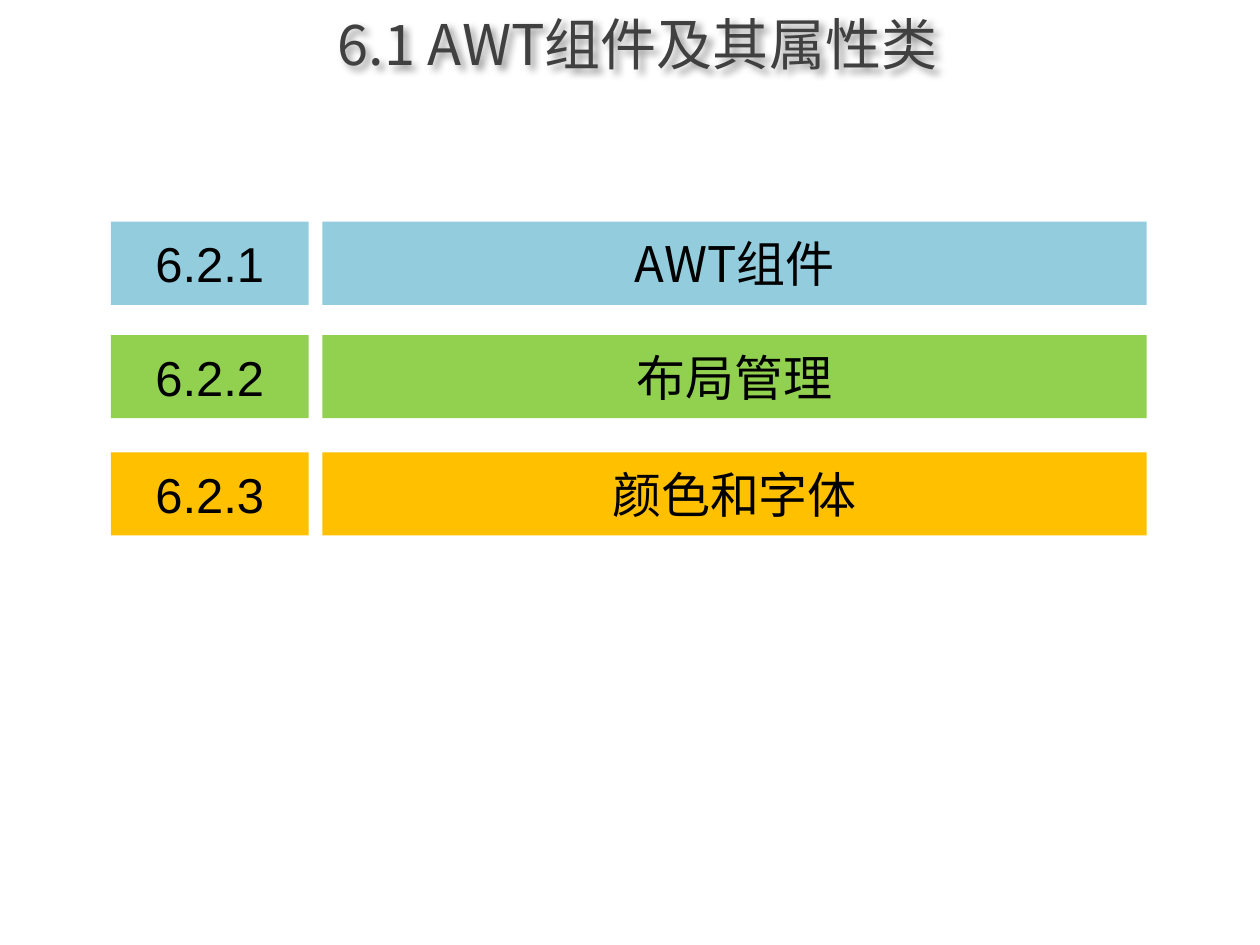
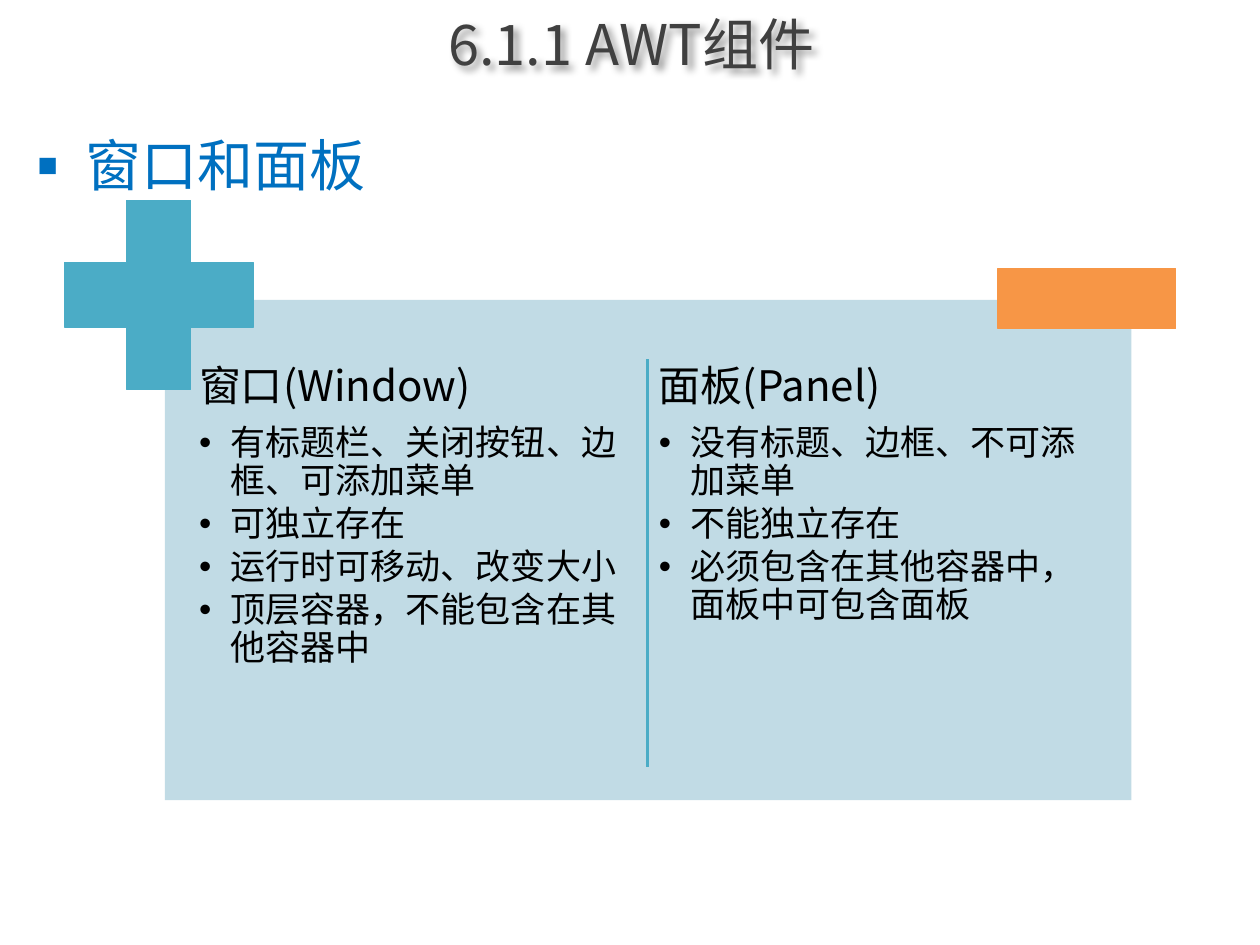
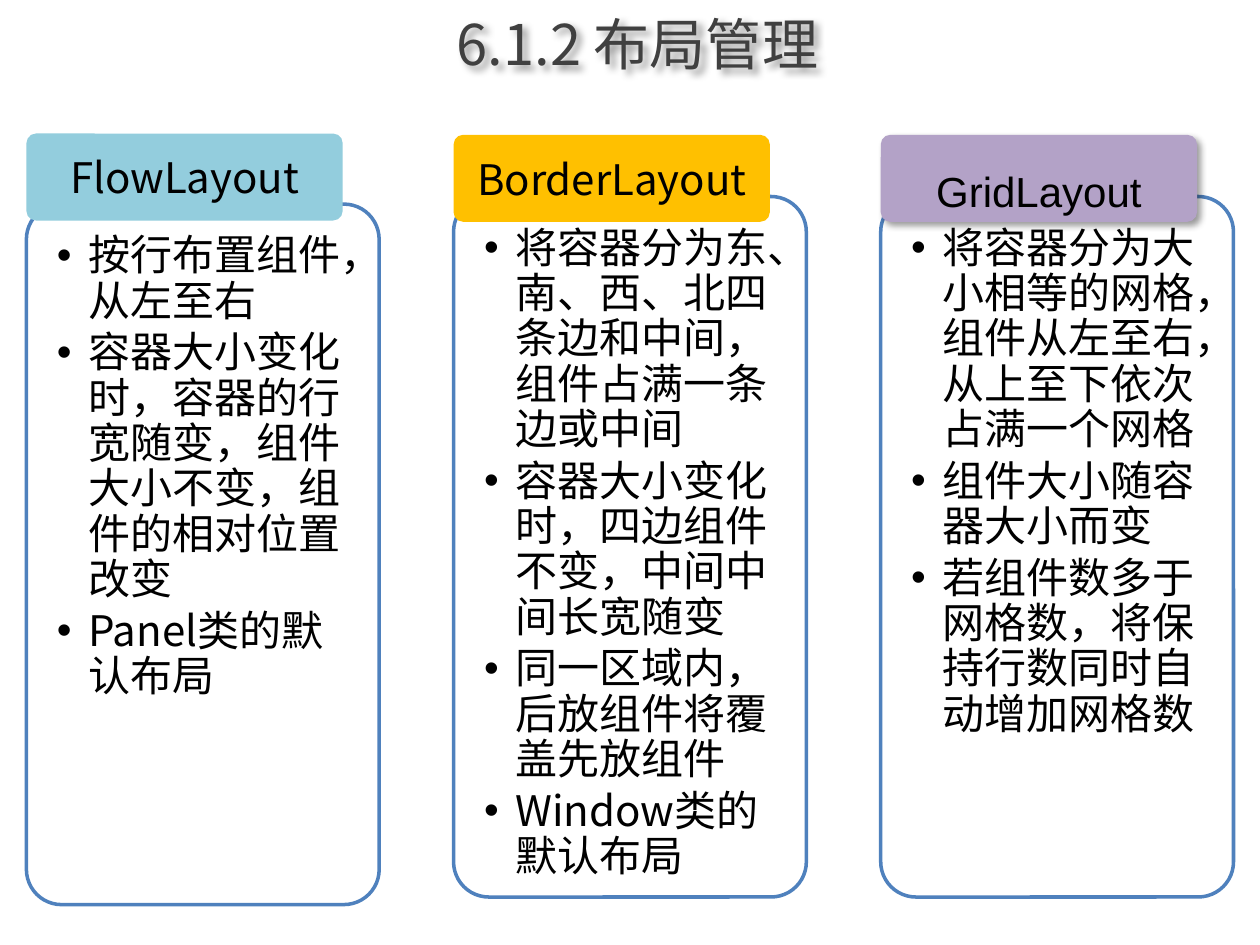
from pptx import Presentation
from pptx.dml.color import RGBColor
from pptx.enum.shapes import MSO_CONNECTOR, MSO_SHAPE as SHAPE
from pptx.enum.text import MSO_ANCHOR as ANCHOR, MSO_AUTO_SIZE, PP_ALIGN as ALIGN
from pptx.oxml.ns import qn
from pptx.util import Inches, Pt
from lxml.etree import SubElement

CJK, ARIAL, CABIN = "Noto Sans CJK SC", "Arial", "Cabin"
BLACK, WHITE, GRAY = "000000", "FFFFFF", "404040"
SKY, GREEN, AMBER, LILAC = "93CDDD", "92D050", "FFC000", "B3A2C7"
TEAL, ORANGE, PALE, BLUE, HEADING = "4BACC6", "F79646", "C1DBE5", "4F81BD", "0070C0"


def rgb(value):
    return RGBColor.from_string(value)


def lengths(*values):
    return [Inches(v) for v in values]


# ---- Shared parts ----
def add_shadow(sp):
    """Soft drop shadow to the lower right."""
    sp_pr = sp._element.spPr
    for old in sp_pr.findall(qn("a:effectLst")):
        sp_pr.remove(old)
    effects = SubElement(sp_pr, qn("a:effectLst"))
    shadow = SubElement(effects, qn("a:outerShdw"), blurRad=str(Pt(4)),
                        dist=str(Pt(3)), dir="2700000", algn="tl", rotWithShape="0")
    color = SubElement(shadow, qn("a:srgbClr"), val=BLACK)
    SubElement(color, qn("a:alpha"), val="40000")


def add_box(s, box, fill, line=None, width=0.75, kind=SHAPE.RECTANGLE, adj=None):
    sp = s.shapes.add_shape(kind, *lengths(*box))
    sp.shadow.inherit = False
    sp.fill.solid()
    sp.fill.fore_color.rgb = rgb(fill)
    if line:
        sp.line.color.rgb = rgb(line)
        sp.line.width = Pt(width)
    else:
        sp.line.fill.background()
    if adj is not None:
        sp.adjustments[0] = adj
    return sp


def setup_frame(sp, anchor=ANCHOR.TOP, inset=None, wrap=True):
    tf = sp.text_frame
    tf.word_wrap = wrap
    tf.auto_size = MSO_AUTO_SIZE.NONE
    tf.vertical_anchor = anchor
    if inset is not None:
        tf.margin_left = tf.margin_right = Inches(inset)
        tf.margin_top = tf.margin_bottom = Inches(inset)
    return tf


def add_text_box(s, box, **frame):
    sp = s.shapes.add_textbox(*lengths(*box))
    return sp, setup_frame(sp, **frame)


def add_para(tf, text, size, font=CJK, color=BLACK, align=ALIGN.LEFT):
    p = tf.paragraphs[0]
    if p.runs:
        p = tf.add_paragraph()
    p.alignment = align
    r = p.add_run()
    r.text = text
    r.font.size = Pt(size)
    r.font.name = font
    r.font.color.rgb = rgb(color)
    SubElement(r._r.get_or_add_rPr(), qn("a:ea"), typeface=CJK)
    return p


def add_bullet(p, char, indent, percent=100):
    p_pr = p._p.get_or_add_pPr()
    p_pr.set("marL", str(Inches(indent)))
    p_pr.set("indent", str(-Inches(indent)))
    SubElement(p_pr, qn("a:buSzPct"), val=str(percent * 1000))
    SubElement(p_pr, qn("a:buFont"), typeface=ARIAL)
    SubElement(p_pr, qn("a:buChar"), char=char)


def add_bullets(tf, items, size):
    for item in items:
        p = add_para(tf, item, size)
        p.line_spacing = 0.9
        p.space_after = Pt(0.15 * size)
        add_bullet(p, "•", 0.25)


def add_label(sp, text, size, font=CJK, **frame):
    tf = setup_frame(sp, ANCHOR.MIDDLE, **frame)
    return add_para(tf, text, size, font, align=ALIGN.CENTER)


def new_slide(prs, title):
    s = prs.slides.add_slide(prs.slide_layouts[6])
    sp, tf = add_text_box(s, (0.72, 0, 8.68, 0.68), anchor=ANCHOR.MIDDLE)
    add_para(tf, title, 32, color=GRAY, align=ALIGN.CENTER)
    add_shadow(sp)
    return s


# ---- Contents slide: number and topic side by side ----
def add_topic_row(s, left, top, number, topic, fill):
    height, number_w, gap, topic_w = 0.66, 1.57, 0.11, 6.54
    topic_left = left + number_w + gap
    add_label(add_box(s, (topic_left, top, topic_w, height), fill), topic, 28)
    add_label(add_box(s, (left, top, number_w, height), fill), number, 28, ARIAL)


def contents_slide(prs):
    s = new_slide(prs, "6.1 AWT组件及其属性类")
    for top, number, topic, fill in [(1.76, "6.2.1", "AWT组件", SKY),
                                     (2.66, "6.2.2", "布局管理", GREEN),
                                     (3.59, "6.2.3", "颜色和字体", AMBER)]:
        add_topic_row(s, 0.88, top, number, topic, fill)


# ---- Comparison slide: plus and minus panel ----
def add_comparison(s, left, top, columns):
    add_box(s, (left, top, 7.67, 3.97), PALE)
    for i, (heading, items) in enumerate(columns):
        box = (left + 0.22 + 3.65 * i, top + 0.47, 3.56, 3.39)
        _, tf = add_text_box(s, box, inset=0.05)
        p = add_para(tf, heading, 24)
        p.line_spacing = 0.9
        p.space_after = Pt(0.35 * 24)
        add_bullets(tf, items, 20)

    # Signs on the upper corners
    add_box(s, (left - 0.8, top - 0.79, 1.5, 1.5), TEAL, TEAL,
            kind=SHAPE.CROSS, adj=0.33)
    add_box(s, (left + 6.61, top - 0.25, 1.41, 0.48), ORANGE, ORANGE)

    # Divider between the columns
    x = left + 3.83
    divider = s.shapes.add_connector(
        MSO_CONNECTOR.STRAIGHT, *lengths(x, top + 0.47, x, top + 3.71))
    divider.line.color.rgb = rgb(TEAL)
    divider.line.width = Pt(2)
    SubElement(divider._element.spPr, qn("a:effectLst"))


def comparison_slide(prs):
    s = new_slide(prs, "6.1.1 AWT组件 ")
    _, tf = add_text_box(s, (0.2, 0.99, 9.61, 6.38))
    p = add_para(tf, "窗口和面板", 32, CABIN, HEADING)
    p.space_before = Pt(0.2 * 32)
    add_bullet(p, "■", 0.38, 60)
    add_comparison(s, 1.31, 2.38, [
        ("窗口(Window)", ["有标题栏、关闭按钮、边框、可添加菜单",
                        "可独立存在",
                        "运行时可移动、改变大小",
                        "顶层容器，不能包含在其他容器中"]),
        ("面板(Panel)", ["没有标题、边框、不可添加菜单",
                       "不能独立存在",
                       "必须包含在其他容器中，面板中可包含面板"]),
    ])


# ---- Layout slide: tabbed cards ----
def add_card(s, left, top, items):
    sp = add_box(s, (left, top, 2.8, 5.56), WHITE, BLUE, 2,
                 SHAPE.ROUNDED_RECTANGLE, 0.1)
    add_bullets(setup_frame(sp, inset=0.16), items, 24)


def add_tab(s, left, top, fill):
    return add_box(s, (left, top, 2.51, 0.69), fill,
                   kind=SHAPE.ROUNDED_RECTANGLE, adj=0.11)


def layout_slide(prs):
    s = new_slide(prs, "6.1.2 布局管理")
    lefts = [0.21 + 3.39 * i for i in range(3)]
    add_card(s, lefts[0], 1.62, [
        "按行布置组件，从左至右",
        "容器大小变化时，容器的行宽随变，组件大小不变，组件的相对位置改变",
        "Panel类的默认布局"])
    add_card(s, lefts[1], 1.56, [
        "将容器分为东、南、西、北四条边和中间，组件占满一条边或中间",
        "容器大小变化时，四边组件不变，中间中间长宽随变",
        "同一区域内，后放组件将覆盖先放组件",
        "Window类的默认布局"])
    add_card(s, lefts[2], 1.56, [
        "将容器分为大小相等的网格，组件从左至右，从上至下依次占满一个网格",
        "组件大小随容器大小而变",
        "若组件数多于网格数，将保持行数同时自动增加网格数"])

    # Tabs over the cards
    add_label(add_tab(s, lefts[0], 1.06, SKY), "FlowLayout", 24)
    add_label(add_tab(s, lefts[1], 1.07, AMBER), "BorderLayout", 24)
    grid_tab = add_tab(s, lefts[2], 1.07, LILAC)
    add_shadow(grid_tab)
    add_label(grid_tab, "GridLayout", 24, ARIAL, wrap=False).line_spacing = 1.5


def main():
    prs = Presentation()
    prs.slide_width, prs.slide_height = Inches(10), Inches(7.5)
    contents_slide(prs)
    comparison_slide(prs)
    layout_slide(prs)
    prs.save("out.pptx")


if __name__ == "__main__":
    main()
